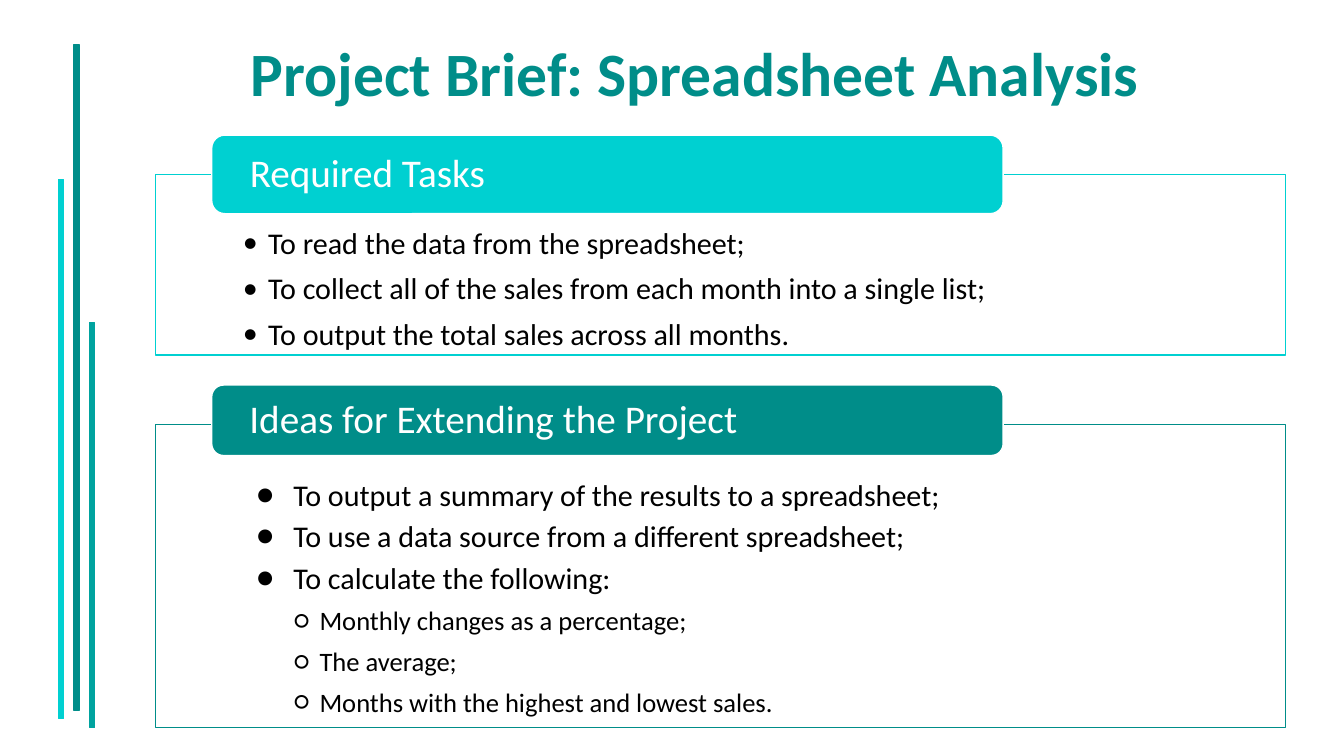
from lxml import etree
from pptx import Presentation
from pptx import util as u
from pptx.dml.color import RGBColor
from pptx.enum import shapes, text
from pptx.oxml.ns import qn

WIDTH, HEIGHT = u.Inches(13.33), u.Inches(7.5)
TEAL, MID_TEAL, CYAN = "008D89", "00A39F", "00D0D1"
WHITE, BLACK = "FFFFFF", "000000"
PANEL_LEFT, PANEL_WIDTH = 11.55, 84.1
TAB_LEFT, TAB_WIDTH = 15.75, 58.89

TASK = {"char": "•", "margin": 0.25, "hang": 0.25, "size": 21.5, "before": 3, "level": 0}
IDEA = {"char": "●", "margin": 0.5, "hang": 0.37, "size": 21.5, "before": 0, "level": 0}
DETAIL = {"char": "○", "margin": 0.76, "hang": 0.25, "size": 19, "before": 3, "level": 1}

TASKS = [
    ("To read the data from the spreadsheet;", {**TASK, "before": 0}),
    ("To collect all of the sales from each month into a single list;", TASK),
    ("To output the total sales across all months.", TASK),
]
IDEAS = [
    ("To output a summary of the results to a spreadsheet;", IDEA),
    ("To use a data source from a different spreadsheet;", IDEA),
    ("To calculate the following:", IDEA),
    ("Monthly changes as a percentage;", DETAIL),
    ("The average;", DETAIL),
    ("Months with the highest and lowest sales.", DETAIL),
]


def rgb(value):
    """Turn a hex string into a colour."""
    return RGBColor.from_string(value)


def apply(target, formats):
    """Set each attribute named in a dict of format values."""
    for name, value in formats.items():
        setattr(target, name, value)


def box(left, top, width, height):
    """Convert percentages of the slide into lengths."""
    return [round(share * side / 100)
            for share, side in zip((left, top, width, height), (WIDTH, HEIGHT) * 2)]


def place(sp, *area):
    """Move a placeholder to an area given in percentages."""
    apply(sp, dict(zip(("left", "top", "width", "height"), box(*area))))


def paint(sp, fill, line):
    """Give a shape a solid fill and a thin outline."""
    sp.fill.solid()
    sp.fill.fore_color.rgb = rgb(fill)
    sp.line.color.rgb = rgb(line)
    sp.line.width = u.Pt(1)


def add_block(s, kind, area, fill, line):
    """Add a flat preset shape."""
    sp = s.shapes.add_shape(kind, *box(*area))
    sp.shadow.inherit = False
    paint(sp, fill, line)
    return sp


def write(p, content, size, color, bold=False):
    """Write one formatted run into a paragraph."""
    r = p.add_run()
    r.text = content
    apply(r.font, {"name": "Calibri", "size": u.Pt(size), "bold": bold})
    r.font.color.rgb = rgb(color)


def set_bullet(p, char, margin, hang):
    """Give a paragraph a black bullet and a hanging indent."""
    pr = p._p.get_or_add_pPr()
    pr.set("marL", str(u.Inches(margin)))
    pr.set("indent", str(-u.Inches(hang)))
    color = etree.SubElement(pr, qn("a:buClr"))
    etree.SubElement(color, qn("a:srgbClr"), val=BLACK)
    etree.SubElement(pr, qn("a:buFont"), typeface="Calibri")
    etree.SubElement(pr, qn("a:buChar"), char=char)


def fill_panel(sp, top, height, color, inset, items):
    """Turn a body placeholder into an outlined panel with a list."""
    place(sp, PANEL_LEFT, top, PANEL_WIDTH, height)
    paint(sp, WHITE, color)
    tf = sp.text_frame
    apply(tf, {"word_wrap": True, "auto_size": text.MSO_AUTO_SIZE.NONE,
               "vertical_anchor": text.MSO_ANCHOR.TOP,
               "margin_left": u.Inches(0.87), "margin_right": u.Inches(0.87),
               "margin_top": u.Inches(inset), "margin_bottom": 0})
    for i, (content, style) in enumerate(items):
        p = tf.add_paragraph() if i else tf.paragraphs[0]
        apply(p, {"level": style["level"], "line_spacing": 1.15,
                  "space_before": u.Pt(style["before"]), "space_after": u.Pt(0),
                  "alignment": text.PP_ALIGN.LEFT})
        set_bullet(p, style["char"], style["margin"], style["hang"])
        write(p, content, style["size"], BLACK)


def add_tab(s, top, height, color, heading):
    """Add the rounded heading on the edge of a panel."""
    sp = add_block(s, shapes.MSO_SHAPE.ROUNDED_RECTANGLE,
                   (TAB_LEFT, top, TAB_WIDTH, height), color, WHITE)
    tf = sp.text_frame
    apply(tf, {"word_wrap": True, "vertical_anchor": text.MSO_ANCHOR.MIDDLE,
               "margin_left": u.Inches(0.34), "margin_right": u.Inches(0.34),
               "margin_top": 0, "margin_bottom": 0})
    p = tf.paragraphs[0]
    apply(p, {"alignment": text.PP_ALIGN.LEFT, "line_spacing": 0.9})
    write(p, heading, 28, WHITE)


def add_title(sp, content):
    """Place and write the slide title."""
    place(sp, 17.18, 2, 69.09, 15.07)
    tf = sp.text_frame
    apply(tf, {"word_wrap": True, "auto_size": text.MSO_AUTO_SIZE.NONE,
               "vertical_anchor": text.MSO_ANCHOR.MIDDLE})
    p = tf.paragraphs[0]
    p.alignment = text.PP_ALIGN.CENTER
    write(p, content, 44, TEAL, bold=True)


def add_bars(s):
    """Add the evenly spaced upright bars at the left."""
    bars = [(23.73, 71.33, CYAN), (5.87, 88.13, TEAL), (42.67, 53.6, MID_TEAL)]
    for i, (top, height, color) in enumerate(bars):
        add_block(s, shapes.MSO_SHAPE.RECTANGLE,
                  (4.35 + 1.16 * i, top, 0.38, height), color, color)


def main():
    """Build and save the slide."""
    prs = Presentation()
    apply(prs, {"slide_width": WIDTH, "slide_height": HEIGHT})
    s = prs.slides.add_slide(prs.slide_layouts.get_by_name("Two Content"))
    title, tasks, ideas = list(s.placeholders)[:3]
    add_bars(s)
    add_title(title, "Project Brief: Spreadsheet Analysis")
    fill_panel(tasks, 23.07, 23.87, CYAN, 0.44, TASKS)
    add_tab(s, 17.87, 10.4, CYAN, "Required Tasks")
    fill_panel(ideas, 56.13, 40.13, TEAL, 0.46, IDEAS)
    add_tab(s, 50.93, 9.33, TEAL, "Ideas for Extending the Project")
    prs.save("out.pptx")


if __name__ == "__main__":
    main()
